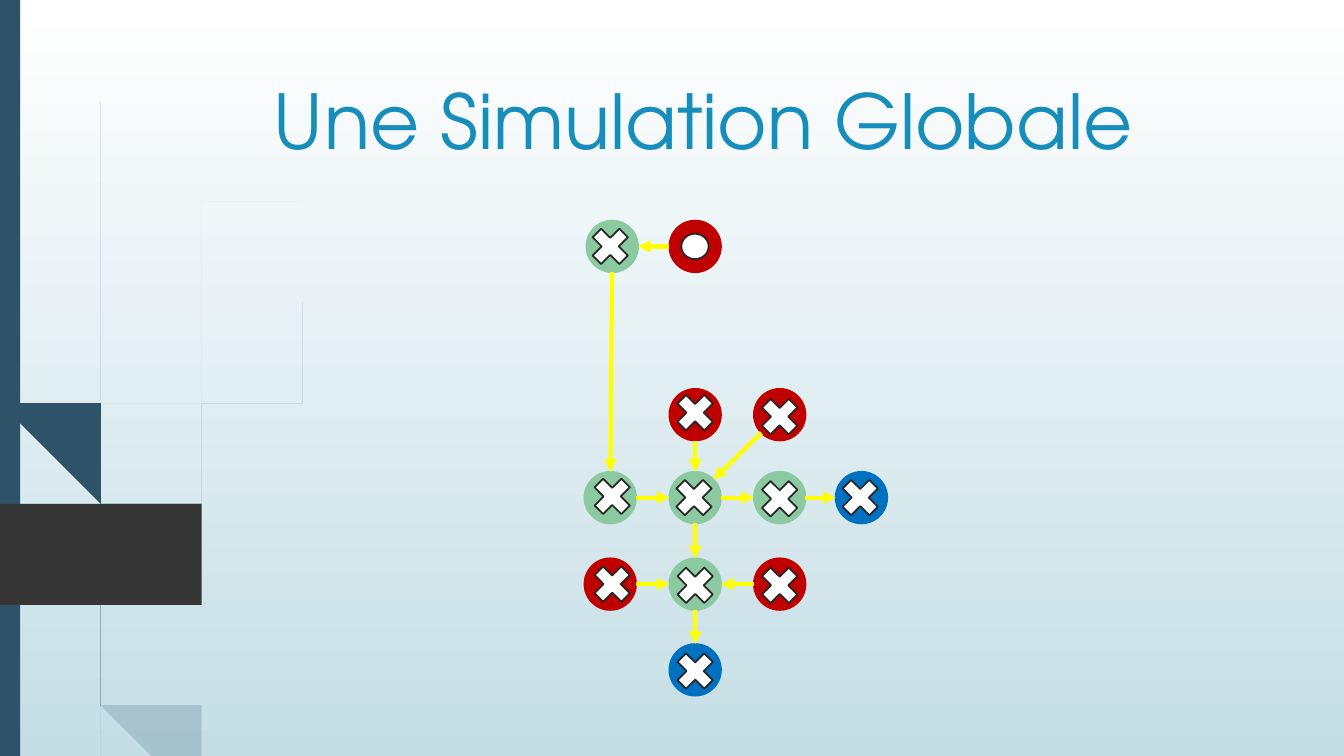
import math
from lxml import etree
from pptx import Presentation, util as u
from pptx.dml.color import RGBColor
from pptx.enum import shapes, text
from pptx.oxml.ns import qn

COLOURS = {
    "sky": "FFFFFF", "mist": "C5DEE5", "stem": "2E5369", "tag": "353535",
    "title": "178DBB", "red": "C00000", "blue": "0070C0", "green": "8BC9A0",
    "arrow": "FFFF00", "mark": "FFFFFF", "outline": "272727",
}
FONT = "TeX Gyre Adventor"
OUTLINE_SCALE = u.Cm(2.54)  # one unit of the outline points below
NODE = 1.3  # node diameter in cm

# Each blade: opacity in percent, left edge, right edge
BLADES = [
    (20, [(0, 2.99), (0.17, 3.76), (0.36, 4.49), (0.58, 5.22), (0.88, 6.1), (1.23, 6.94), (1.5, 7.5)],
     [(0, 2.82), (0.14, 3.45), (0.36, 4.33), (0.62, 5.2), (0.92, 6.07), (1.27, 6.92), (1.55, 7.5)]),
    (20, [(0.11, 3.5), (0.28, 4.7), (0.44, 5.46), (0.65, 6.21), (0.92, 6.93), (1.14, 7.5)],
     [(0.11, 3.5), (0.31, 4.69), (0.47, 5.44), (0.7, 6.19), (0.93, 6.83), (1.19, 7.5)]),
    (20, [(3.12, 1.53), (2.68, 1.97), (2.28, 2.44), (1.58, 3.48), (1.07, 4.61), (0.85, 5.84),
          (0.87, 6.46), (0.96, 6.92), (1.19, 7.5)],
     [(3.12, 1.54), (2.68, 1.98), (2.29, 2.45), (1.6, 3.49), (1.1, 4.62), (0.88, 5.84),
      (0.91, 6.46), (1.04, 7.06), (1.24, 7.5)]),
    (100, [(0.03, 0), (0.07, 1.1), (0.17, 2.33), (0.33, 3.55), (0.6, 4.9), (0.88, 5.92),
           (1.06, 6.45), (1.32, 7.08), (1.52, 7.49)],
     [(0.04, 0), (0.08, 1.09), (0.19, 2.32), (0.36, 3.55), (0.6, 4.72), (0.93, 5.9),
      (1.13, 6.49), (1.36, 7.06), (1.57, 7.49)]),
    (100, [(0.7, 1.41), (0.56, 2.45), (0.52, 3.49), (0.55, 4.49), (0.68, 5.57), (0.93, 6.59), (1.27, 7.49)],
     [(0.7, 1.41), (0.58, 2.45), (0.54, 3.49), (0.58, 4.53), (0.72, 5.56), (0.98, 6.57), (1.31, 7.49)]),
    (100, [(2.6, 3.44), (2.31, 3.73), (2.04, 4.05), (1.56, 4.74), (1.22, 5.51), (1.06, 6.31),
           (1.1, 6.91), (1.3, 7.49)],
     [(2.61, 3.44), (2.31, 3.74), (2.05, 4.06), (1.58, 4.76), (1.25, 5.52), (1.11, 6.33),
      (1.21, 7.16), (1.36, 7.49)]),
]
TAG = [(0, 4.73), (1.47, 4.73), (1.51, 4.74), (1.9, 5.13), (1.91, 5.15),
       (1.9, 5.17), (1.51, 5.56), (1.47, 5.58), (0, 5.58)]

# Each node: left, top, colour, shift of its cross (None for the start node)
NODES = {
    "bottom right": (19, 14.07, "red", (0, 0.03)),
    "bottom left": (14.73, 14.07, "red", (0.05, 0)),
    "upper right": (19, 9.8, "red", (0, 0.05)),
    "upper centre": (16.87, 9.8, "red", (0, -0.05)),
    "start": (16.87, 5.56, "red", None),
    "south exit": (16.87, 16.23, "blue", (0, 0.03)),
    "east exit": (21.06, 11.89, "blue", (-0.03, 0)),
    "middle right": (19, 11.89, "green", (0, 0.03)),
    "middle": (16.87, 11.89, "green", (-0.03, 0)),
    "bottom": (16.87, 14.07, "green", (0, 0.03)),
    "top left": (14.78, 5.56, "green", (-0.05, 0)),
    "middle left": (14.73, 11.89, "green", (0.05, -0.03)),
}
LINKS = [
    ("start", "top left"), ("top left", "middle left"), ("upper centre", "middle"),
    ("upper right", "middle"), ("middle", "middle right"), ("middle right", "east exit"),
    ("middle left", "middle"), ("middle", "bottom"), ("bottom left", "bottom"),
    ("bottom right", "bottom"), ("bottom", "south exit"),
]


def smooth(points, steps=8):
    """Points of a Catmull-Rom curve through the given points."""
    padded = [points[0], *points, points[-1]]
    curve = []
    for a, b, c, d in zip(padded, padded[1:], padded[2:], padded[3:]):
        for t in (step / steps for step in range(steps)):
            curve.append(tuple(
                q + t / 2 * (r - p + t * (2 * p - 5 * q + 4 * r - s + t * (3 * (q - r) + s - p)))
                for p, q, r, s in zip(a, b, c, d)))
    return curve + [points[-1]]


class Slide:
    def __init__(self, deck):
        self.page = deck.slides.add_slide(deck.slide_layouts[5])

    def colour(self, name):
        return RGBColor.from_string(COLOURS[name])

    def background(self, top, bottom):
        fill = self.page.background.fill
        fill.gradient()
        fill.gradient_angle = 270
        for stop, name, position in zip(fill.gradient_stops, (top, bottom), (0, 1)):
            stop.color.rgb = self.colour(name)
            stop.position = position

    def paint(self, shape, fill, line=None, opacity=100):
        shape.shadow.inherit = False
        shape.fill.solid()
        shape.fill.fore_color.rgb = self.colour(fill)
        if opacity < 100:
            tint = shape.fill._xPr.find(".//" + qn("a:srgbClr"))
            etree.SubElement(tint, qn("a:alpha"), val=str(opacity * 1000))
        if line:
            shape.line.color.rgb = self.colour(line)
            shape.line.width = u.Pt(1.25)
        else:
            shape.line.fill.background()

    def outline(self, points, fill, opacity=100):
        builder = self.page.shapes.build_freeform(*points[0], scale=OUTLINE_SCALE)
        builder.add_line_segments(points[1:], close=True)
        self.paint(builder.convert_to_shape(), fill, opacity=opacity)

    def shape(self, kind, left, top, width, height, fill, line=None):
        box = self.page.shapes.add_shape(kind, u.Cm(left), u.Cm(top), u.Cm(width), u.Cm(height))
        self.paint(box, fill, line)

    def arrow(self, start, end):
        """Arrow between the rims of two nodes given by their centres."""
        (x1, y1), (x2, y2) = start, end
        distance = math.dist(start, end)
        dx, dy = ((b - a) / distance * NODE / 2 for a, b in zip(start, end))
        link = self.page.shapes.add_connector(
            shapes.MSO_CONNECTOR.STRAIGHT,
            u.Cm(x1 + dx), u.Cm(y1 + dy), u.Cm(x2 - dx), u.Cm(y2 - dy))
        link.line.color.rgb = self.colour("arrow")
        link.line.width = u.Pt(3)
        etree.SubElement(link.line._get_or_add_ln(), qn("a:tailEnd"), type="triangle")
        etree.SubElement(link._element.spPr, qn("a:effectLst"))

    def title(self, words, left, top, width, height):
        box = self.page.shapes.title
        box._element.getparent().append(box._element)  # in front of the blades
        box.left, box.top, box.width, box.height = map(u.Cm, (left, top, width, height))
        frame = box.text_frame
        frame.word_wrap = True
        frame.auto_size = text.MSO_AUTO_SIZE.NONE
        frame.vertical_anchor = text.MSO_ANCHOR.BOTTOM
        para = frame.paragraphs[0]
        para.alignment = text.PP_ALIGN.LEFT
        span = para.add_run()
        span.text = words
        span.font.name = FONT
        span.font.size = u.Pt(54)
        span.font.color.rgb = self.colour("title")


def main():
    deck = Presentation()
    deck.slide_width, deck.slide_height = u.Cm(33.87), u.Cm(19.05)
    slide = Slide(deck)
    oval = shapes.MSO_SHAPE.OVAL

    # Backdrop
    slide.background("sky", "mist")
    for opacity, left_edge, right_edge in BLADES:
        slide.outline(smooth(left_edge) + smooth(right_edge)[::-1], "stem", opacity)
    slide.shape(shapes.MSO_SHAPE.RECTANGLE, 0, 0, 0.51, 19.05, "stem")
    slide.outline(TAG, "tag")
    slide.title("Une Simulation Globale", 6.65, 0.71, 24.77, 3.56)

    # Network
    for left, top, colour, _ in NODES.values():
        slide.shape(oval, left, top, NODE, NODE, colour, colour)
    centres = {name: (node[0] + NODE / 2, node[1] + NODE / 2) for name, node in NODES.items()}
    for source, target in LINKS:
        slide.arrow(centres[source], centres[target])

    # Marks on the nodes
    for left, top, _, shift in NODES.values():
        if shift:
            slide.shape(shapes.MSO_SHAPE.MATH_MULTIPLY, left + shift[0], top + shift[1],
                        NODE, NODE, "mark", "outline")
        else:
            slide.shape(oval, left + 0.3, top + 0.33, 0.69, 0.64, "mark", "outline")

    deck.save("out.pptx")


if __name__ == "__main__":
    main()
